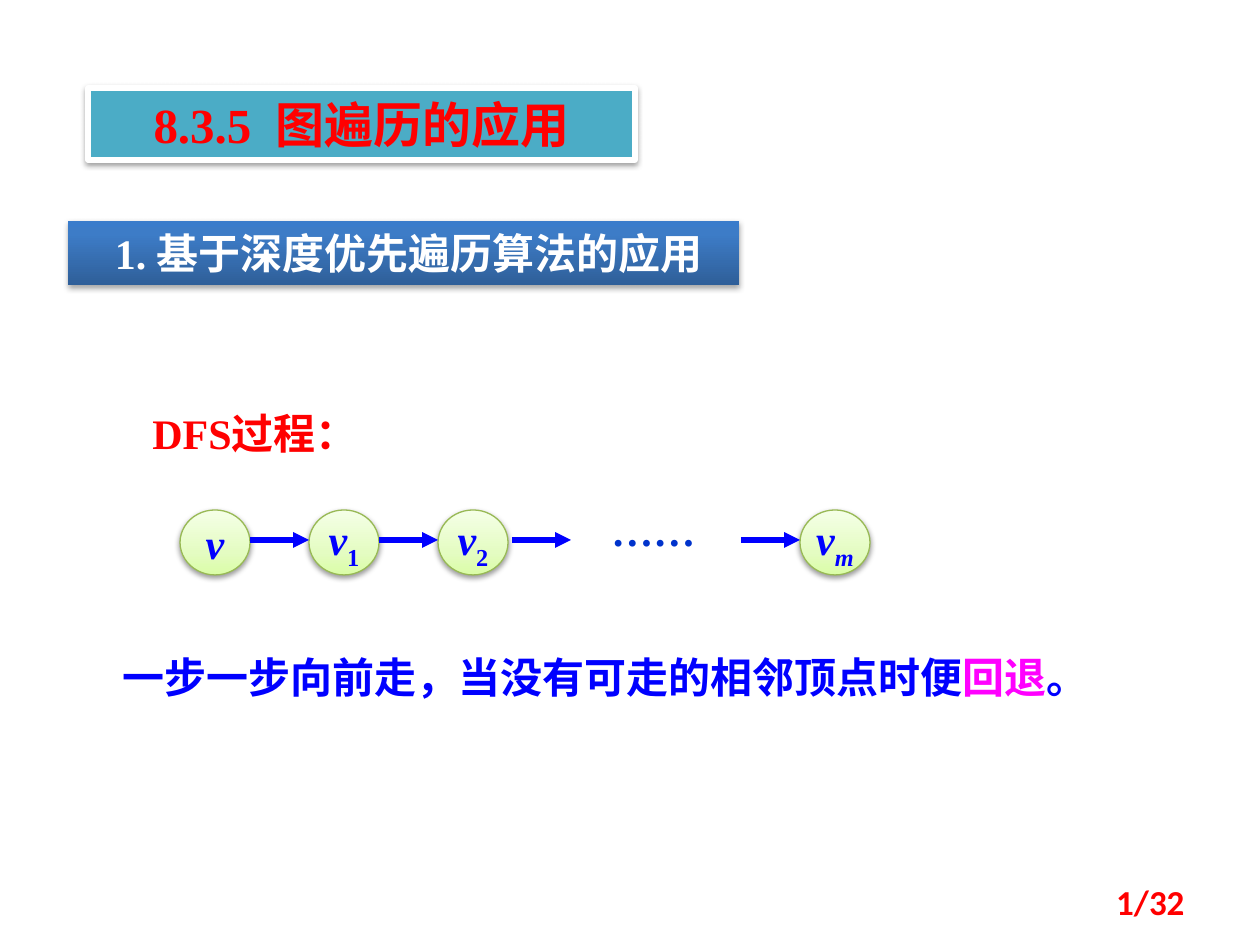
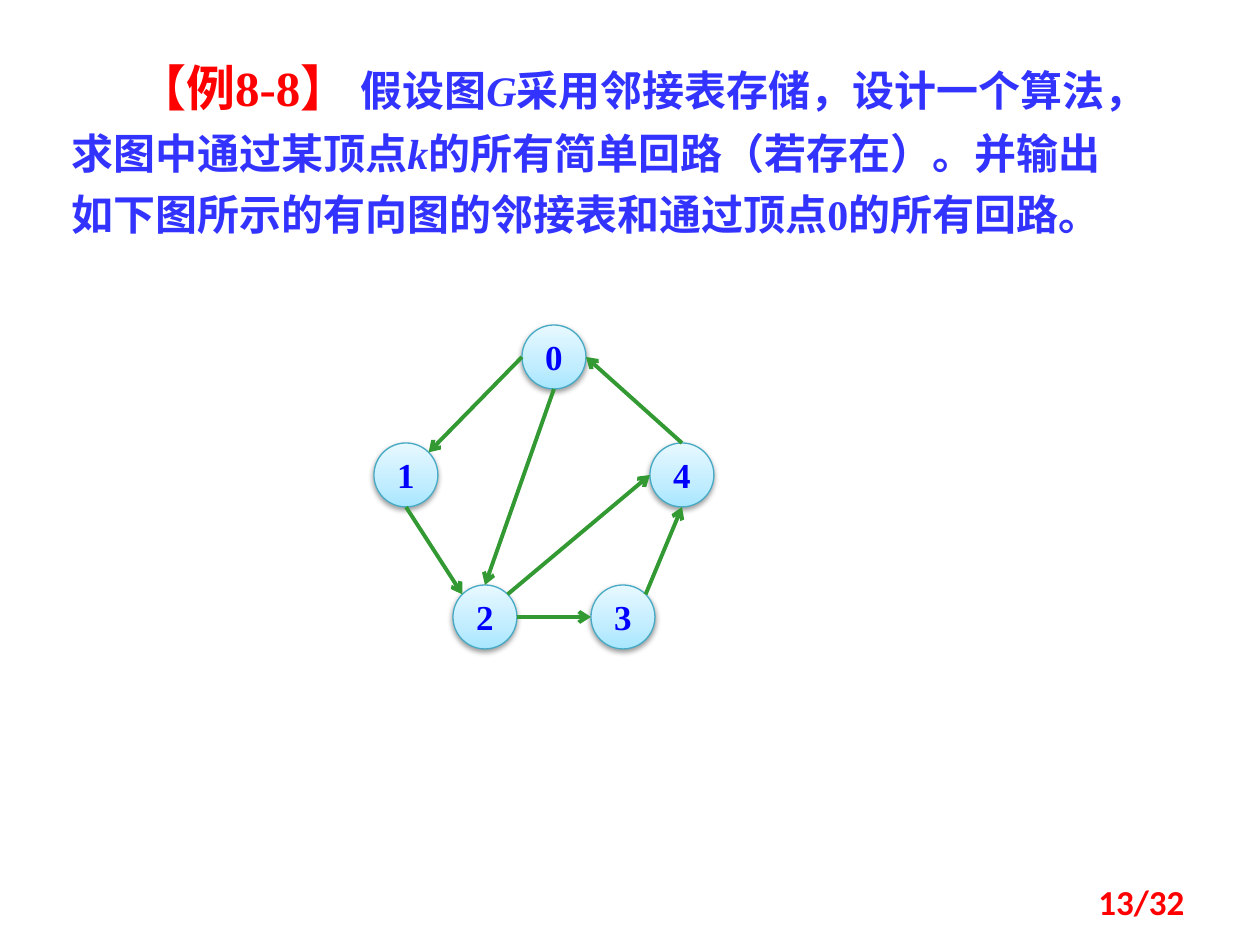
import math

import pptx
import pptx.util
from pptx.dml.color import RGBColor
from pptx.enum.dml import MSO_LINE
from pptx.enum.shapes import MSO_CONNECTOR, MSO_SHAPE
from pptx.enum.text import MSO_ANCHOR, MSO_AUTO_SIZE, PP_ALIGN
from pptx.oxml import parse_xml
from pptx.oxml.ns import nsdecls, qn

PX = 914400 / 126

RED = RGBColor(0xFF, 0x00, 0x00)
BLUE = RGBColor(0x00, 0x00, 0xFF)
INDIGO = RGBColor(0x33, 0x33, 0xFF)
DOTS_BLUE = RGBColor(0x00, 0x33, 0xCC)
MAGENTA = RGBColor(0xFF, 0x00, 0xFF)
WHITE = RGBColor(0xFF, 0xFF, 0xFF)
TEAL = RGBColor(0x4B, 0xAC, 0xC6)
GREEN = RGBColor(0x33, 0x99, 0x33)
LIME_EDGE = RGBColor(0x98, 0xB9, 0x55)
SKY_EDGE = RGBColor(0x46, 0xAA, 0xC5)

# Gradient stops (percent, colour), running from bottom to top
LIME = [(0, RGBColor(0xDA, 0xFD, 0xA7)), (35, RGBColor(0xE4, 0xFC, 0xC2)),
        (100, RGBColor(0xF5, 0xFF, 0xE7))]
SKY = [(0, RGBColor(0xA7, 0xE6, 0xFF)), (35, RGBColor(0xC1, 0xED, 0xFF)),
       (100, RGBColor(0xE7, 0xF8, 0xFF))]
BANNER = [(0, RGBColor(0x2F, 0x5F, 0x99)), (80, RGBColor(0x3D, 0x7C, 0xC7)),
          (100, RGBColor(0x3A, 0x7C, 0xCB))]

SERIF = "Times New Roman"


def px(n):
    return pptx.util.Emu(round(n * PX))


# Shared formatting
def write(sp, runs, size, color, align=PP_ALIGN.LEFT, font=SERIF, italic=None):
    """Fill the first paragraph; a run is (text, {size, color, italic, sub})."""
    p = sp.text_frame.paragraphs[0]
    p.alignment = align
    p.font.name = font
    p.font.size = pptx.util.Pt(size)
    p.font.bold = True
    p.font.italic = italic
    p.font.color.rgb = color
    for text, look in runs:
        r = p.add_run()
        r.text = text
        if "size" in look:
            r.font.size = pptx.util.Pt(look["size"])
        if "color" in look:
            r.font.color.rgb = look["color"]
        if "italic" in look:
            r.font.italic = look["italic"]
        if "sub" in look:
            r._r.get_or_add_rPr().set("baseline", "-25000")
    return p


def text_box(s, box, runs, size, color, **kw):
    sp = s.shapes.add_textbox(*map(px, box))
    sp.text_frame.word_wrap = True
    return sp, write(sp, runs, size, color, **kw)


def gradient(sp, stops):
    sp.fill.gradient()
    sp.fill.gradient_angle = 90
    gs_list = sp._element.spPr.find(qn("a:gradFill")).find(qn("a:gsLst"))
    for gs in list(gs_list):
        gs_list.remove(gs)
    for pos, color in stops:
        gs_list.append(parse_xml(
            f'<a:gs {nsdecls("a")} pos="{pos * 1000}"><a:srgbClr val="{color}"/></a:gs>'))


def outline(sp, color, width):
    sp.line.color.rgb = color
    sp.line.width = pptx.util.Pt(width)


def drop_shadow(sp, alpha=38):
    sp.shadow.inherit = False
    sp._element.spPr.find(qn("a:effectLst")).append(parse_xml(
        f'<a:outerShdw {nsdecls("a")} blurRad="39370" dist="20320" dir="5400000" '
        f'rotWithShape="0"><a:srgbClr val="000000"><a:alpha val="{alpha * 1000}"/>'
        '</a:srgbClr></a:outerShdw>'))


def arrow(s, start, end, color, width, head):
    line = s.shapes.add_connector(MSO_CONNECTOR.STRAIGHT, *map(px, (*start, *end)))
    outline(line, color, width)
    line.line.dash_style = MSO_LINE.SOLID
    line.line._ln.append(parse_xml(f'<a:tailEnd {nsdecls("a")} type="{head}"/>'))
    line._element.spPr.append(parse_xml(f'<a:effectLst {nsdecls("a")}/>'))


def node(s, box, runs, stops, edge, size, wrap, italic=None):
    sp = s.shapes.add_shape(MSO_SHAPE.OVAL, *map(px, box))
    gradient(sp, stops)
    outline(sp, edge, 0.75)
    drop_shadow(sp)
    sp.text_frame.word_wrap = wrap
    sp.text_frame.vertical_anchor = MSO_ANCHOR.MIDDLE
    write(sp, runs, size, BLUE, PP_ALIGN.CENTER, italic=italic)


def page_number(s, number):
    sp, _ = text_box(s, (903, 877, 294, 50), [(f"{number}/32", {})], 20, RED,
                     align=PP_ALIGN.RIGHT, font="Calibri")
    sp.text_frame.vertical_anchor = MSO_ANCHOR.MIDDLE


# Regions of the DFS slide
def section_title(s, box):
    sp = s.shapes.title
    sp.left, sp.top, sp.width, sp.height = map(px, box)
    sp.fill.solid()
    sp.fill.fore_color.rgb = TEAL
    outline(sp, WHITE, 3)
    drop_shadow(sp)
    sp.text_frame.auto_size = MSO_AUTO_SIZE.NONE
    sp.text_frame.vertical_anchor = MSO_ANCHOR.MIDDLE
    p = write(sp, [("8.3.5", {}), (" ", {}), ("图遍历的应用", {})], 28, RED,
              PP_ALIGN.CENTER)
    p.runs[1]._r.get_or_add_rPr().set("spc", "700")  # wider gap after the number


def topic_banner(s, box):
    sp = s.shapes.add_shape(MSO_SHAPE.RECTANGLE, *map(px, box))
    gradient(sp, BANNER)
    sp.line.fill.background()
    drop_shadow(sp, alpha=35)
    sp.text_frame.margin_left = px(23)
    sp.text_frame.word_wrap = True
    write(sp, [("1. 基于深度优先遍历算法的应用", {})], 24, WHITE, PP_ALIGN.CENTER)


def dfs_chain(s, x, y):
    w, h, step, gap = 70, 65, 129, 59
    last = 620
    sub = {"sub": True, "italic": False}
    vertices = [(0, []), (step, [("1", sub)]), (2 * step, [("2", sub)]),
                (last, [("m", {"sub": True})])]
    for dx, index in vertices:
        node(s, (x + dx, y, w, h), [("v", {})] + index, LIME, LIME_EDGE, 24,
             wrap=False, italic=True)
    for tip in (step, 2 * step, 2 * step + w + 4 + gap, last):
        arrow(s, (x + tip - gap, y + 30), (x + tip, y + 30), BLUE, 3, "triangle")
    text_box(s, (x + 419, y - 12, 118, 63), [("……", {})], 24, DOTS_BLUE)


def dfs_slide(prs):
    s = prs.slides.add_slide(prs.slide_layouts[5])
    section_title(s, (88, 88, 547, 72))
    topic_banner(s, (68, 221, 671, 64))
    text_box(s, (140, 401, 267, 63), [("DFS过程：", {})], 24, RED)
    dfs_chain(s, 180, 510)
    text_box(s, (110, 645, 1032, 63),
             [("一步一步向前走，当没有可走的相邻顶点时便", {}),
              ("回退", {"color": MAGENTA}), ("。", {})], 24, BLUE)
    page_number(s, 1)


# Regions of the example slide
def example_text(s, box):
    italic = {"italic": True}
    sp, p = text_box(s, box, [
        ("【例8-8】 ", {"size": 28, "color": RED}),
        ("假设图", {}), ("G", italic),
        ("采用邻接表存储，设计一个算法，求图中通过某顶点", {}), ("k", italic),
        ("的所有简单回路（若存在）。并输出如下图所示的有向图的邻接表和"
         "通过顶点0的所有回路。", {})], 24, INDIGO)
    sp.text_frame.margin_right = px(30)
    p.line_spacing = pptx.util.Pt(35)
    p._p.get_or_add_pPr().set("indent", str(px(66)))


def directed_graph(s, x, y):
    d = 64
    corners = {"0": (148, 0), "3": (217, 260), "2": (79, 260),
               "4": (276, 118), "1": (0, 118)}
    angles = {"right": 0, "top right": 45, "top": 90, "top left": 135,
              "left": 180, "bottom": 270}

    def rim(name, side):
        a = math.radians(angles[side])
        dx, dy = corners[name]
        return (x + dx + d / 2 * (1 + math.cos(a)),
                y + dy + d / 2 * (1 - math.sin(a)))

    for name, (dx, dy) in corners.items():
        node(s, (x + dx, y + dy, d, d), [(name, {})], SKY, SKY_EDGE, 20, wrap=True)
    edges = [("0", "left", "1", "top right"), ("1", "bottom", "2", "top left"),
             ("2", "right", "3", "left"), ("3", "top right", "4", "bottom"),
             ("4", "top", "0", "right"), ("0", "bottom", "2", "top"),
             ("2", "top right", "4", "left")]
    for tail, out, head, into in edges:
        arrow(s, rim(tail, out), rim(head, into), GREEN, 2.25, "arrow")


def example_slide(prs):
    s = prs.slides.add_slide(prs.slide_layouts[6])
    example_text(s, (59, 49, 1113, 198))
    directed_graph(s, 374, 325)
    page_number(s, 13)


def main():
    prs = pptx.Presentation()
    prs.slide_width, prs.slide_height = px(1260), px(945)
    dfs_slide(prs)
    example_slide(prs)
    prs.save("out.pptx")


if __name__ == "__main__":
    main()
